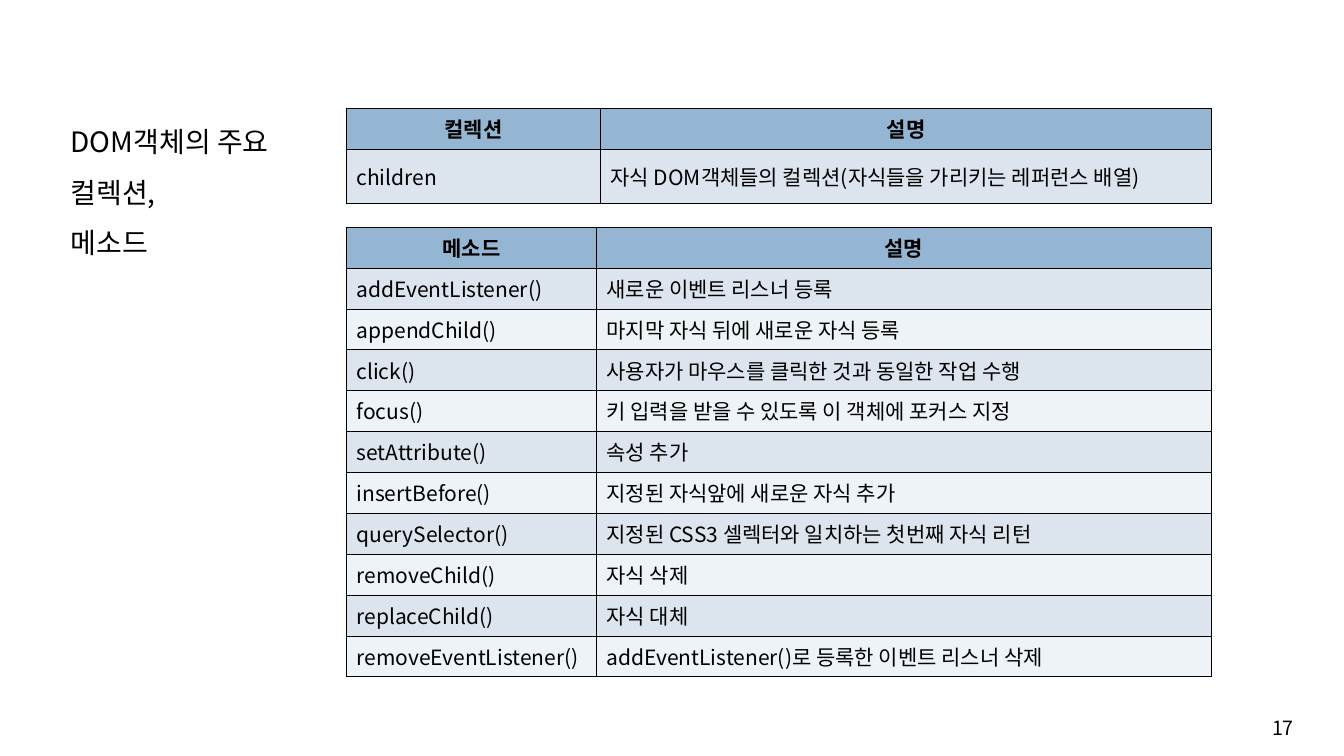
from dataclasses import dataclass

from lxml.etree import SubElement
from pptx import Presentation
from pptx.dml.color import RGBColor
from pptx.enum.text import MSO_ANCHOR, MSO_AUTO_SIZE, PP_ALIGN
from pptx.oxml.ns import qn
from pptx.util import Pt


@dataclass(frozen=True)
class Theme:
    font: str = "Noto Sans CJK KR"
    ink: str = "000000"
    header: str = "94B6D2"
    bands: tuple = ("DCE5EE", "EEF3F7")
    title_size: float = 20
    table_size: float = 15
    number_size: float = 14
    border: float = 0.5


THEME = Theme()

COLLECTIONS = [
    ("컬렉션", "설명"),
    ("children", "자식 DOM객체들의 컬렉션(자식들을 가리키는 레퍼런스 배열)"),
]
METHODS = [
    ("메소드", "설명"),
    ("addEventListener()", "새로운 이벤트 리스너 등록"),
    ("appendChild()", "마지막 자식 뒤에 새로운 자식 등록"),
    ("click()", "사용자가 마우스를 클릭한 것과 동일한 작업 수행"),
    ("focus()", "키 입력을 받을 수 있도록 이 객체에 포커스 지정"),
    ("setAttribute()", "속성 추가"),
    ("insertBefore()", "지정된 자식앞에 새로운 자식 추가"),
    ("querySelector()", "지정된 CSS3 셀렉터와 일치하는 첫번째 자식 리턴"),
    ("removeChild()", "자식 삭제"),
    ("replaceChild()", "자식 대체"),
    ("removeEventListener()", "addEventListener()로 등록한 이벤트 리스너 삭제"),
]


def format_runs(paragraph, size, bold=False):
    for run in paragraph.runs:
        run.font.size = Pt(size)
        run.font.bold = bold
        run.font.name = THEME.font
        run.font.color.rgb = RGBColor.from_string(THEME.ink)
        SubElement(run.font._element, qn("a:ea"), typeface=THEME.font)


def add_borders(cell):
    properties = cell._tc.get_or_add_tcPr()
    for position, side in enumerate(("a:lnL", "a:lnR", "a:lnT", "a:lnB")):
        line = SubElement(properties, qn(side), w=str(Pt(THEME.border)))
        fill = SubElement(line, qn("a:solidFill"))
        SubElement(fill, qn("a:srgbClr"), val=THEME.ink)
        properties.insert(position, line)


def add_title(slide, left, top, width, height):
    title = slide.shapes.title
    title.left, title.top, title.width, title.height = map(Pt, (left, top, width, height))
    frame = title.text_frame
    frame.text = "DOM객체의 주요 \v컬렉션, \v메소드"
    frame.auto_size = MSO_AUTO_SIZE.NONE
    frame.vertical_anchor = MSO_ANCHOR.MIDDLE
    paragraph = frame.paragraphs[0]
    paragraph.alignment = PP_ALIGN.LEFT
    paragraph.line_spacing = 1.5
    format_runs(paragraph, THEME.title_size)


def add_reference_table(slide, left, top, width, name_width, row_heights, entries, anchor):
    """Place a two-column table with a header row and banded entries."""
    table = slide.shapes.add_table(
        len(entries), 2, Pt(left), Pt(top), Pt(width), Pt(sum(row_heights))
    ).table
    table.columns[0].width = Pt(name_width)
    table.columns[1].width = Pt(width - name_width)
    for index, (entry, height) in enumerate(zip(entries, row_heights)):
        is_header = index == 0
        color = THEME.header if is_header else THEME.bands[(index - 1) % 2]
        table.rows[index].height = Pt(height)
        for cell, wording in zip(table.rows[index].cells, entry):
            cell.text_frame.text = wording
            cell.vertical_anchor = anchor
            cell.fill.solid()
            cell.fill.fore_color.rgb = RGBColor.from_string(color)
            add_borders(cell)
            paragraph = cell.text_frame.paragraphs[0]
            paragraph.alignment = PP_ALIGN.CENTER if is_header else PP_ALIGN.LEFT
            format_runs(paragraph, THEME.table_size, bold=is_header)


def add_page_number(slide, left, top, width, height):
    frame = slide.shapes.add_textbox(Pt(left), Pt(top), Pt(width), Pt(height)).text_frame
    frame.word_wrap = True
    frame.text = "17"
    format_runs(frame.paragraphs[0], THEME.number_size)


def add_dom_slide(presentation):
    slide = presentation.slides.add_slide(presentation.slide_layouts.get_by_name("Title Only"))
    add_title(slide, 43.2, 49, 170, 164)
    table_left, table_width = 247.5, 618
    add_reference_table(slide, table_left, 77.2, table_width, 181.5, [29.2, 39],
                        COLLECTIONS, MSO_ANCHOR.MIDDLE)
    add_reference_table(slide, table_left, 162.2, table_width, 178.5, [29.2] * len(METHODS),
                        METHODS, MSO_ANCHOR.TOP)
    add_page_number(slide, 901.5, 507.5, 51, 24.5)


def main():
    presentation = Presentation()
    presentation.slide_width, presentation.slide_height = Pt(960), Pt(540)
    add_dom_slide(presentation)
    presentation.save("out.pptx")


if __name__ == "__main__":
    main()
